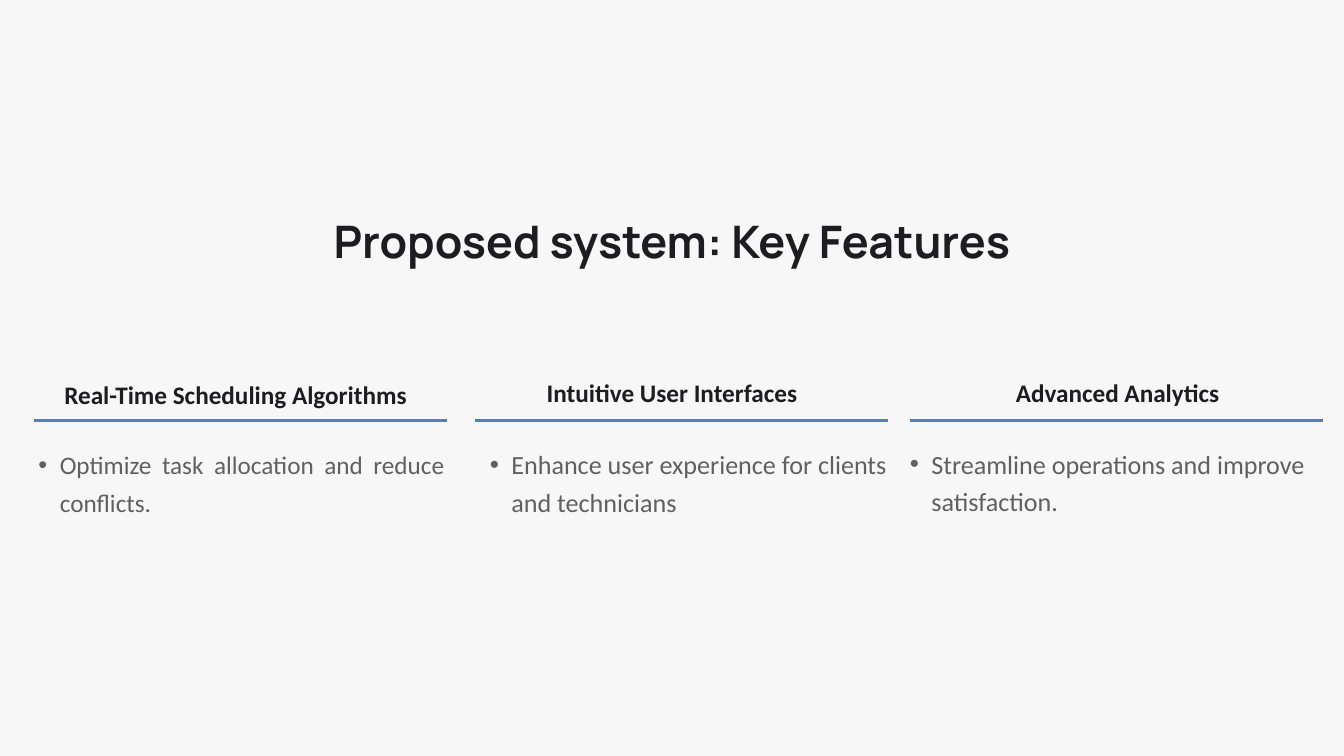
from typing import NamedTuple

from lxml.etree import SubElement
from pptx import Presentation
from pptx.dml.color import RGBColor
from pptx.enum.shapes import MSO_CONNECTOR as Connector
from pptx.enum.text import MSO_ANCHOR as Anchor, MSO_AUTO_SIZE as AutoSize, PP_ALIGN as Align
from pptx.oxml.ns import qn
from pptx.util import Inches, Pt

# The grid: 20 columns by 11.25 rows
WIDTH, HEIGHT = Inches(20), Inches(11.25)
COLUMN, ROW = WIDTH / 20, HEIGHT / 11.25

INK, GREY, BLUE, PAPER = "1D1D1F", "606060", "4F81BD", "F7F7F7"
RULE_ROW, RULE_COLUMNS = 6.26, 6.15
INDENT, HANG = 0.64, 0.32


class Area(NamedTuple):
    """A place on the grid, in columns and rows."""
    left: float
    top: float
    columns: float
    rows: float


class Style(NamedTuple):
    font: str
    size: float
    color: str
    bold: bool
    leading: float
    align: Align


class Feature(NamedTuple):
    heading: str
    heading_area: Area
    rule_left: float
    detail: str
    detail_area: Area
    detail_size: float
    detail_align: Align


TITLE = Style("Manrope", 48, INK, True, 67.2, Align.CENTER)
HEADING = Style("Calibri", 27, INK, True, 32.4, Align.CENTER)

FEATURES = [
    Feature("Real-Time Scheduling Algorithms", Area(0.24, 5.64, 6.53, 0.45), 0.5,
            "Optimize task allocation and reduce conflicts.",
            Area(0.25, 6.58, 6.36, 1.09), 27, Align.JUSTIFY),
    Feature("Intuitive User Interfaces", Area(7.67, 5.62, 4.66, 0.45), 7.07,
            "Enhance user experience for clients and technicians",
            Area(6.97, 6.58, 6.26, 1.1), 28, Align.LEFT),
    Feature("Advanced Analytics", Area(13.22, 5.62, 6.82, 0.46), 13.54,
            "Streamline operations and improve satisfaction.",
            Area(13.22, 6.57, 6.78, 1.1), 28, Align.LEFT),
]


def rgb(color: str) -> RGBColor:
    return RGBColor.from_string(color)


def x(columns: float) -> int:
    return round(columns * COLUMN)


def y(rows: float) -> int:
    return round(rows * ROW)


def write(box, area: Area, text: str, style: Style):
    """Place a text box or placeholder and fill it; return its paragraph."""
    box.left, box.top = x(area.left), y(area.top)
    box.width, box.height = x(area.columns), y(area.rows)
    frame = box.text_frame
    frame.margin_left = frame.margin_top = frame.margin_right = frame.margin_bottom = 0
    frame.word_wrap = True
    frame.auto_size = AutoSize.NONE
    frame.vertical_anchor = Anchor.TOP
    para = frame.paragraphs[0]
    para.alignment = style.align
    para.line_spacing = Pt(style.leading)
    para.space_before = para.space_after = Pt(0)
    span = para.add_run()
    span.text = text
    span.font.name, span.font.size = style.font, Pt(style.size)
    span.font.bold = style.bold
    span.font.color.rgb = rgb(style.color)
    return para


def add_bullet(para) -> None:
    para.level = 1
    props = para._p.get_or_add_pPr()
    props.set("marL", str(x(INDENT)))
    props.set("indent", str(-x(HANG)))
    SubElement(props, qn("a:buFont")).set("typeface", "Arial")
    SubElement(props, qn("a:buChar")).set("char", "•")


def add_rule(page, left: float) -> None:
    rule = page.shapes.add_connector(
        Connector.STRAIGHT, x(left), y(RULE_ROW), x(left + RULE_COLUMNS), y(RULE_ROW))
    rule.line.color.rgb = rgb(BLUE)
    rule.line.width = Pt(3.75)
    SubElement(rule._element.spPr, qn("a:effectLst"))


def add_feature(page, feature: Feature, body) -> None:
    heading = page.shapes.add_textbox(0, 0, 0, 0)
    write(heading, feature.heading_area, feature.heading, HEADING)
    add_rule(page, feature.rule_left)
    style = Style("Calibri", feature.detail_size, GREY, False, 40.5, feature.detail_align)
    add_bullet(write(body, feature.detail_area, feature.detail, style))


def main() -> None:
    deck = Presentation()
    deck.slide_width, deck.slide_height = WIDTH, HEIGHT
    page = deck.slides.add_slide(deck.slide_layouts.get_by_name("Comparison"))
    page.background.fill.solid()
    page.background.fill.fore_color.rgb = rgb(PAPER)

    # Title
    write(page.shapes.title, Area(3.57, 3.04, 12.86, 0.87),
          "Proposed system: Key Features", TITLE)

    # Three features, one body placeholder each; the spare one goes
    *bodies, spare = list(page.placeholders)[1:]
    spare._element.getparent().remove(spare._element)
    for feature, body in zip(FEATURES, bodies):
        add_feature(page, feature, body)

    deck.save("out.pptx")


if __name__ == "__main__":
    main()
